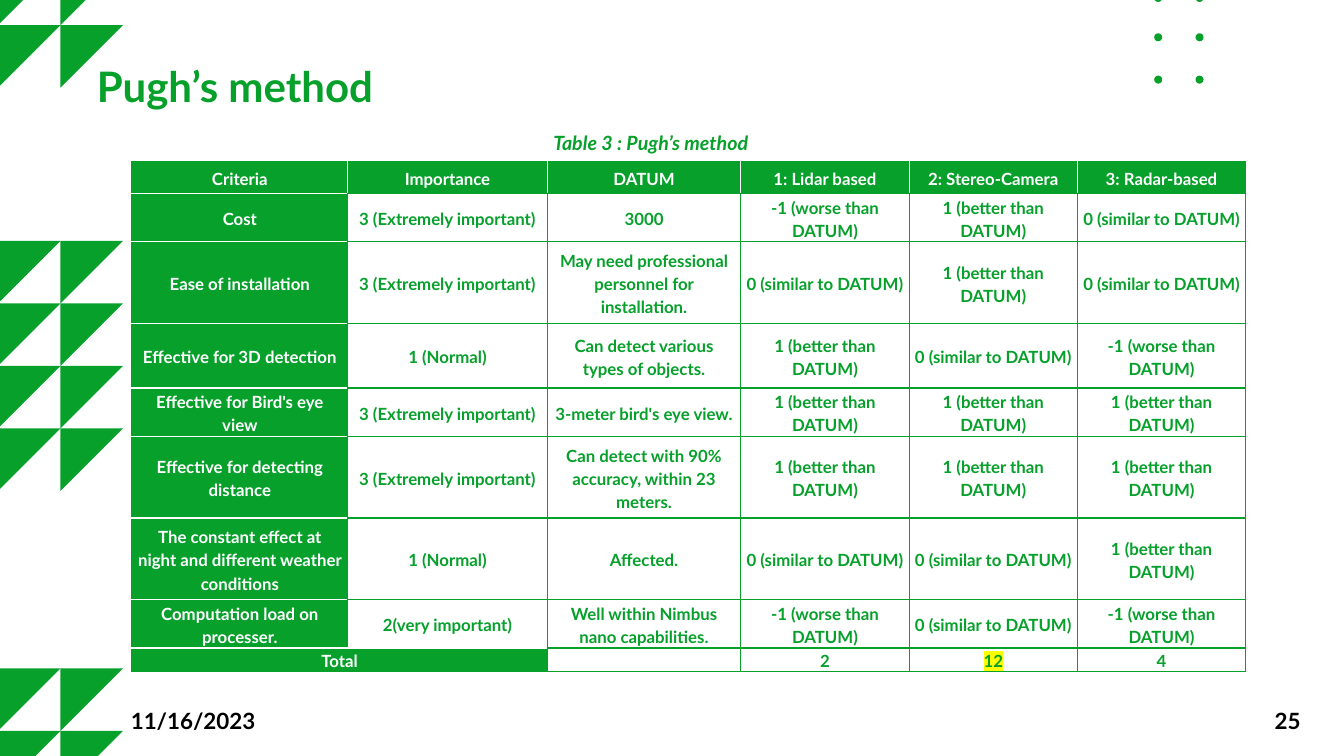
import dataclasses
import lxml.etree
import pptx
import pptx.dml.color
import pptx.enum.shapes
import pptx.enum.text
import pptx.oxml.ns
import pptx.util

ANCHOR = pptx.enum.text.MSO_ANCHOR
ALIGN = pptx.enum.text.PP_ALIGN
SHAPE = pptx.enum.shapes.MSO_SHAPE


@dataclasses.dataclass(frozen=True)
class Theme:
    font: str = "Lato"
    green: str = "06A02B"
    white: str = "FFFFFF"
    black: str = "000000"
    yellow: str = "FFFF00"
    title_size: int = 30
    footer_size: int = 16
    caption_size: int = 14
    cell_size: int = 12


THEME = Theme()

WORSE = "-1 (worse than DATUM)"
SIMILAR = "0 (similar to DATUM)"
BETTER = "1 (better than DATUM)"
EXTREME = "3 (Extremely important)"
NORMAL = "1 (Normal)"

CRITERIA_ROWS = [
    ["Criteria", "Importance", "DATUM", "1: Lidar based", "2: Stereo-Camera", "3: Radar-based"],
    ["Cost", EXTREME, "3000", WORSE, BETTER, SIMILAR],
    ["Ease of installation", EXTREME, "May need professional personnel for installation.",
     SIMILAR, BETTER, SIMILAR],
    ["Effective for 3D detection", NORMAL, "Can detect various types of objects.",
     BETTER, SIMILAR, WORSE],
    ["Effective for Bird's eye view", EXTREME, "3-meter bird's eye view.", BETTER, BETTER, BETTER],
    ["Effective for detecting distance", EXTREME,
     "Can detect with 90% accuracy, within 23 meters.", BETTER, BETTER, BETTER],
    ["The constant effect at night and different weather conditions", NORMAL, "Affected.",
     SIMILAR, SIMILAR, BETTER],
    ["Computation load on processer.", "2(very important)", "Well within Nimbus nano capabilities.",
     WORSE, SIMILAR, WORSE],
    ["Total", "", "", "2", "12", "4"],
]
# Column widths and row heights in grid units
COLUMN_WIDTHS = [21.4, 19.8, 19.2, 16.7, 16.7, 16.7]
ROW_HEIGHTS = [3.2, 4.8, 8.1, 6.4, 4.8, 8.1, 8.1, 4.8, 1.5]


def grid(units):
    """Length of a number of grid units, each a tenth of an inch."""
    return pptx.util.Inches(units / 10)


def rgb(color):
    return pptx.dml.color.RGBColor.from_string(color)


def add_span(para, text, size, color, italic=False):
    span = para.add_run()
    span.text = text
    span.font.name = THEME.font
    span.font.size = pptx.util.Pt(size)
    span.font.bold = True
    if italic:
        span.font.italic = True
    span.font.color.rgb = rgb(color)
    return span


def add_title(page, box, text):
    title = page.shapes.title
    title.left, title.top, title.width, title.height = map(grid, box)
    frame = title.text_frame
    frame.vertical_anchor = ANCHOR.TOP
    frame.margin_left = frame.margin_right = grid(1)
    frame.margin_top = frame.margin_bottom = grid(1)
    para = frame.paragraphs[0]
    para.alignment = ALIGN.LEFT
    add_span(para, text, THEME.title_size, THEME.green)


def add_footer(page, box, text, alignment):
    frame = page.shapes.add_textbox(*map(grid, box)).text_frame
    frame.word_wrap = True
    frame.vertical_anchor = ANCHOR.MIDDLE
    para = frame.paragraphs[0]
    para.alignment = alignment
    add_span(para, text, THEME.footer_size, THEME.black)


def add_caption(page, box, text):
    frame = page.shapes.add_textbox(*map(grid, box)).text_frame
    frame.word_wrap = False
    frame.auto_size = pptx.enum.text.MSO_AUTO_SIZE.SHAPE_TO_FIT_TEXT
    add_span(frame.paragraphs[0], text, THEME.caption_size, THEME.green, italic=True)


def add_pattern(page, kind, size, lefts, tops, rotation=0):
    """Repeat one small green shape over a lattice."""
    for top in tops:
        for left in lefts:
            mark = page.shapes.add_shape(kind, grid(left), grid(top), grid(size), grid(size))
            mark.rotation = rotation
            mark.shadow.inherit = False
            mark.fill.solid()
            mark.fill.fore_color.rgb = rgb(THEME.green)
            mark.line.fill.background()


def add_triangles(page, top, rows):
    side = 6.2
    add_pattern(page, SHAPE.RIGHT_TRIANGLE, side, [-0.2, -0.2 + side],
                [top + side * row for row in range(rows)], rotation=90)


def is_green(row, column):
    last = len(CRITERIA_ROWS) - 1
    return row == 0 or column == 0 or (row == last and column == 1)


def set_borders(cell, row, column):
    """White between two green cells, green elsewhere."""
    properties = cell._tc.get_or_add_tcPr()
    sides = {"a:lnL": (row, column - 1), "a:lnR": (row, column + 1),
             "a:lnT": (row - 1, column), "a:lnB": (row + 1, column)}
    for tag, (near_row, near_column) in sides.items():
        inside = 0 <= near_row < len(ROW_HEIGHTS) and 0 <= near_column < len(COLUMN_WIDTHS)
        between = inside and is_green(row, column) and is_green(near_row, near_column)
        line = lxml.etree.SubElement(properties, pptx.oxml.ns.qn(tag), w=str(pptx.util.Pt(1)))
        fill = lxml.etree.SubElement(line, pptx.oxml.ns.qn("a:solidFill"))
        lxml.etree.SubElement(fill, pptx.oxml.ns.qn("a:srgbClr"),
                              val=THEME.white if between else THEME.green)


def highlight(span):
    mark = lxml.etree.Element(pptx.oxml.ns.qn("a:highlight"))
    lxml.etree.SubElement(mark, pptx.oxml.ns.qn("a:srgbClr"), val=THEME.yellow)
    span.font._element.find(pptx.oxml.ns.qn("a:solidFill")).addnext(mark)


def fill_cell(cell, row, column, text):
    green = is_green(row, column)
    cell.vertical_anchor = ANCHOR.MIDDLE
    cell.margin_left = cell.margin_right = grid(0.5)
    cell.margin_top = cell.margin_bottom = 0
    set_borders(cell, row, column)
    cell.fill.solid()
    cell.fill.fore_color.rgb = rgb(THEME.green if green else THEME.white)
    para = cell.text_frame.paragraphs[0]
    para.alignment = ALIGN.CENTER
    para.line_spacing = 1.15
    if not text:
        # Keeps an empty cell as low as its row
        lxml.etree.SubElement(para._p, pptx.oxml.ns.qn("a:endParaRPr"),
                              sz=str(THEME.cell_size * 100))
        return
    span = add_span(para, text, THEME.cell_size, THEME.white if green else THEME.green)
    if text == "12":
        highlight(span)


def add_criteria_table(page, left, top):
    frame = page.shapes.add_table(len(ROW_HEIGHTS), len(COLUMN_WIDTHS), grid(left), grid(top),
                                  grid(sum(COLUMN_WIDTHS)), grid(sum(ROW_HEIGHTS)))
    table = frame.table
    table.horz_banding = False
    for column, width in zip(table.columns, COLUMN_WIDTHS):
        column.width = grid(width)
    for row, height in zip(table.rows, ROW_HEIGHTS):
        row.height = grid(height)
    for row, texts in enumerate(CRITERIA_ROWS):
        for column, text in enumerate(texts):
            fill_cell(table.cell(row, column), row, column, text)
    # The total label covers the first two columns
    total = len(CRITERIA_ROWS) - 1
    table.cell(total, 0).merge(table.cell(total, 1))


def build_pugh_page(deck):
    page = deck.slides.add_slide(deck.slide_layouts[5])
    add_title(page, (8.6, 5, 113, 7.6), "Pugh’s method")
    # Footer
    add_footer(page, (12, 69.5, 30, 4), "11/16/2023", ALIGN.LEFT)
    add_footer(page, (100, 69.5, 30, 4), "25", ALIGN.RIGHT)
    # Decoration
    for top, rows in [(-3.7, 2), (23.9, 4), (66.3, 2)]:
        add_triangles(page, top, rows)
    add_pattern(page, SHAPE.OVAL, 0.8, [114.5, 118.6], [-0.6, 3.3, 7.5])
    # Table and caption
    add_criteria_table(page, 13.1, 16)
    add_caption(page, (53.9, 12.5, 24.2, 3.4), "Table 3 : Pugh’s method")


def main():
    deck = pptx.Presentation()
    deck.slide_width = grid(133.33)
    deck.slide_height = grid(75)
    build_pugh_page(deck)
    deck.save("out.pptx")


if __name__ == "__main__":
    main()
